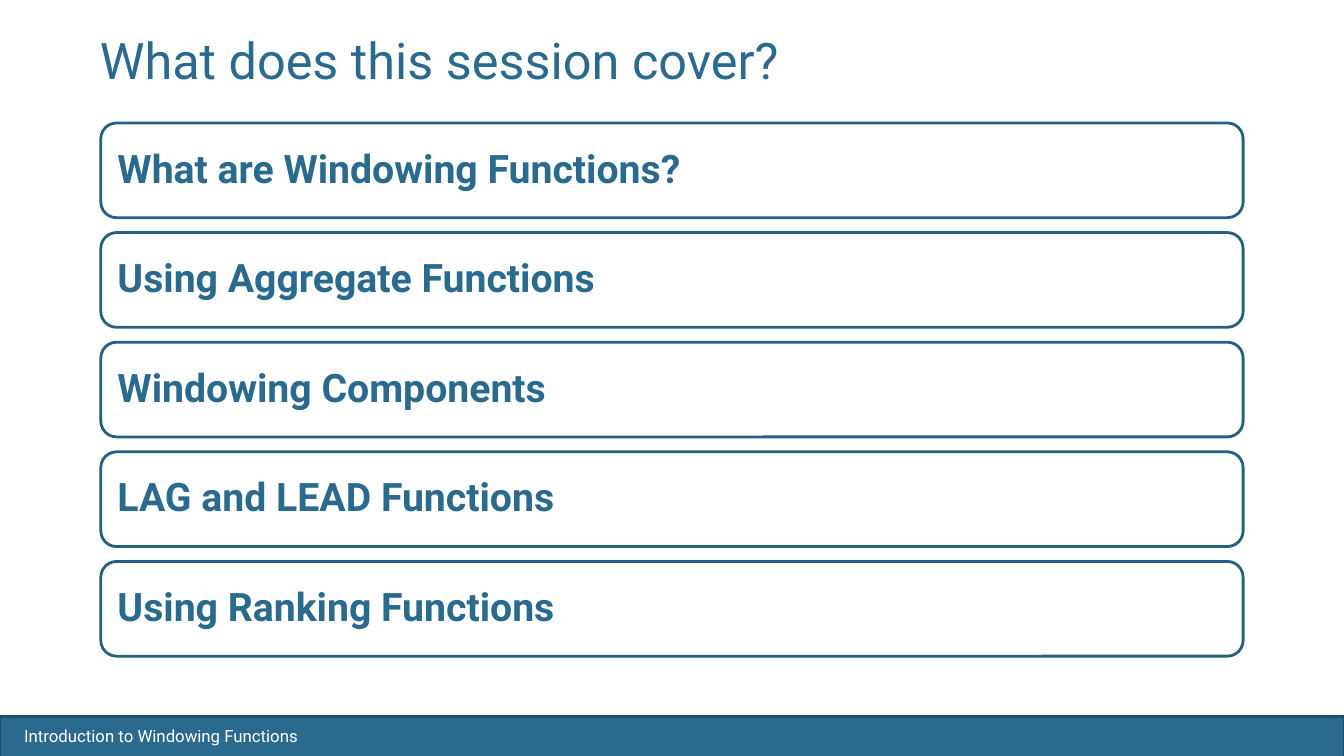
from dataclasses import dataclass

from pptx import Presentation
from pptx.dml.color import RGBColor
from pptx.enum.shapes import MSO_SHAPE
from pptx.enum.text import MSO_ANCHOR, PP_ALIGN
from pptx.util import Inches, Pt


@dataclass(frozen=True)
class Theme:
    font: str = "Roboto"
    blue: RGBColor = RGBColor(0x29, 0x6A, 0x8E)
    card_line: RGBColor = RGBColor(0x25, 0x60, 0x81)
    footer_line: RGBColor = RGBColor(0x1E, 0x4E, 0x69)
    white: RGBColor = RGBColor(0xFF, 0xFF, 0xFF)
    title_size: int = 36
    topic_size: int = 28
    footer_size: int = 12
    line_width: int = 2


THEME = Theme()
TOPICS = [
    "What are Windowing Functions?",
    "Using Aggregate Functions",
    "Windowing Components",
    "LAG and LEAD Functions",
    "Using Ranking Functions",
]
CARD_TOP, CARD_HEIGHT, CARD_PITCH = 1.22, 0.94, 1.0875


def apply_format(target, values):
    for name, value in values.items():
        setattr(target, name, value)


def write_text(box, text, size, color, bold=False, frame_format=None, para_format=None):
    frame = box.text_frame
    frame.text = text
    apply_format(frame, {"word_wrap": True, **(frame_format or {})})
    para = frame.paragraphs[0]
    apply_format(para, {"alignment": PP_ALIGN.LEFT, **(para_format or {})})
    apply_format(para.font, {"name": THEME.font, "size": Pt(size), "bold": bold})
    para.font.color.rgb = color


def add_panel(page, kind, bounds, fill, line):
    panel = page.shapes.add_shape(kind, *map(Inches, bounds))
    panel.shadow.inherit = False
    panel.fill.solid()
    panel.fill.fore_color.rgb = fill
    panel.line.color.rgb = line
    panel.line.width = Pt(THEME.line_width)
    return panel


def add_title(page, text):
    title = page.shapes.title
    apply_format(title, {"left": Inches(0.89), "top": Inches(0.35),
                         "width": Inches(12), "height": Inches(1.25)})
    write_text(title, text, THEME.title_size, THEME.blue,
               frame_format={"vertical_anchor": MSO_ANCHOR.TOP},
               para_format={"line_spacing": Pt(35)})


def add_topic(page, index, text):
    bounds = (1, CARD_TOP + index * CARD_PITCH, 11.33, CARD_HEIGHT)
    card = add_panel(page, MSO_SHAPE.ROUNDED_RECTANGLE, bounds, THEME.white, THEME.card_line)
    margins = {f"margin_{side}": Inches(0.12) for side in ("left", "top", "right", "bottom")}
    write_text(card, text, THEME.topic_size, THEME.blue, bold=True,
               frame_format={"vertical_anchor": MSO_ANCHOR.MIDDLE, **margins},
               para_format={"line_spacing": 0.9})


def add_footer(page, text):
    add_panel(page, MSO_SHAPE.RECTANGLE, (0, 7.11, 13.33, 0.4), THEME.blue, THEME.footer_line)
    label = page.shapes.add_textbox(Inches(0.14), Inches(7.15), Inches(3.38), Inches(0.3))
    write_text(label, text, THEME.footer_size, THEME.white)


def main():
    deck = Presentation()
    deck.slide_width, deck.slide_height = Inches(13.33), Inches(7.5)
    page = deck.slides.add_slide(deck.slide_layouts[5])

    # Footer band
    add_footer(page, "Introduction to Windowing Functions")

    # Title and session topics
    add_title(page, "What does this session cover?")
    for index, topic in enumerate(TOPICS):
        add_topic(page, index, topic)

    deck.save("out.pptx")


if __name__ == "__main__":
    main()
